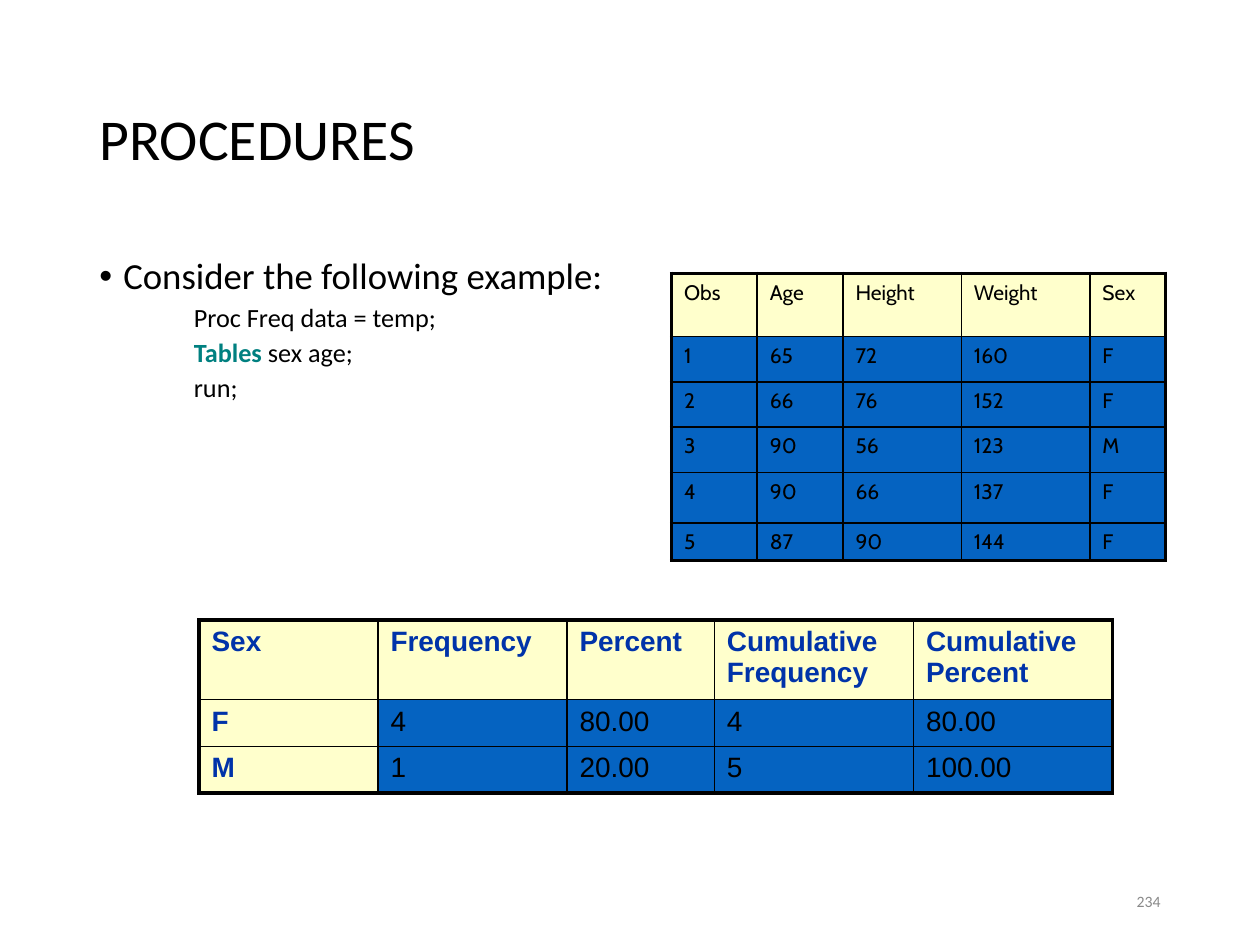
from lxml import etree
from pptx import Presentation
from pptx.dml.color import RGBColor
from pptx.enum.text import MSO_ANCHOR, PP_ALIGN
from pptx.oxml.ns import qn
from pptx.util import Inches, Pt

BLACK = RGBColor(0x00, 0x00, 0x00)
GRAY = RGBColor(0x89, 0x89, 0x89)
TEAL = RGBColor(0x00, 0x80, 0x80)
NAVY = RGBColor(0x00, 0x33, 0xA9)
CREAM = RGBColor(0xFF, 0xFF, 0xCC)
BLUE = RGBColor(0x05, 0x63, 0xC1)

TOP, MIDDLE = MSO_ANCHOR.TOP, MSO_ANCHOR.MIDDLE
LEFT, RIGHT = PP_ALIGN.LEFT, PP_ALIGN.RIGHT
OUTER_LINE, INNER_LINE = Pt(2.25), Pt(1)

OBSERVATIONS = [
    ["Obs", "Age", "Height", "Weight", "Sex"],
    ["1", "65", "72", "160", "F"],
    ["2", "66", "76", "152", "F"],
    ["3", "90", "56", "123", "M"],
    ["4", "90", "66", "137", "F"],
    ["5", "87", "90", "144", "F"],
]
FREQUENCIES = [
    ["Sex", "Frequency", "Percent", "Cumulative\nFrequency", "Cumulative\nPercent"],
    ["F", "4", "80.00", "4", "80.00"],
    ["M", "1", "20.00", "5", "100.00"],
]


def add_text(paragraph, text, font="Calibri", size=12, color=BLACK, bold=False):
    for index, line in enumerate(text.split("\n")):
        if index:
            paragraph.add_line_break()
        run = paragraph.add_run()
        run.text = line
        run.font.name = font
        run.font.size = Pt(size)
        run.font.color.rgb = color
        run.font.bold = bold


def add_text_box(slide, left, top, width, height, anchor=TOP):
    shape = slide.shapes.add_textbox(
        Inches(left), Inches(top), Inches(width), Inches(height))
    text_frame = shape.text_frame
    text_frame.word_wrap = True
    text_frame.vertical_anchor = anchor
    return text_frame


def format_paragraph(paragraph, alignment=LEFT, indent=None, hanging=0, bullet=None,
                     space_before=0, line_spacing=1.0):
    paragraph.alignment = alignment
    paragraph.line_spacing = line_spacing
    paragraph.space_before = Pt(space_before)
    properties = paragraph._p.get_or_add_pPr()
    if indent is not None:
        properties.set("marL", str(Inches(indent)))
        properties.set("indent", str(-Inches(hanging)))
    if bullet:
        etree.SubElement(properties, qn("a:buFont"), typeface="Arial")
        etree.SubElement(properties, qn("a:buChar"), char=bullet)


def set_border(cell, side, width):
    properties = cell._tc.get_or_add_tcPr()
    line = etree.SubElement(properties, qn(f"a:ln{side}"), w=str(width))
    fill = etree.SubElement(line, qn("a:solidFill"))
    etree.SubElement(fill, qn("a:srgbClr"), val=str(BLACK))


def add_table(slide, rows, left, top, column_widths, row_heights, font, size,
              label_color=BLACK, bold_labels=False, label_column=False):
    frame = slide.shapes.add_table(
        len(rows), len(column_widths), Inches(left), Inches(top),
        Inches(sum(column_widths)), Inches(sum(row_heights)))
    table = frame.table
    table.first_row = table.horz_banding = False
    for column, width in zip(table.columns, column_widths):
        column.width = Inches(width)
    last_row, last_column = len(rows) - 1, len(column_widths) - 1
    for row_index, values in enumerate(rows):
        table.rows[row_index].height = Inches(row_heights[row_index])
        for column_index, value in enumerate(values):
            cell = table.cell(row_index, column_index)
            is_label = row_index == 0 or (label_column and column_index == 0)
            add_text(cell.text_frame.paragraphs[0], value, font=font, size=size,
                     color=label_color if is_label else BLACK,
                     bold=bold_labels and is_label)
            edges = {"L": column_index == 0, "R": column_index == last_column,
                     "T": row_index == 0, "B": row_index == last_row}
            for side, is_outer in edges.items():
                set_border(cell, side, OUTER_LINE if is_outer else INNER_LINE)
            cell.fill.solid()
            cell.fill.fore_color.rgb = CREAM if is_label else BLUE


def add_title(slide):
    paragraph = add_text_box(slide, 0.69, 0.4, 8.62, 1.45, MIDDLE).paragraphs[0]
    format_paragraph(paragraph, line_spacing=0.9)
    add_text(paragraph, "PROCEDURES", size=33)


def add_example(slide):
    text_frame = add_text_box(slide, 0.69, 2, 8.62, 4.76)
    heading = text_frame.paragraphs[0]
    format_paragraph(heading, indent=0.19, hanging=0.19, bullet="•", line_spacing=0.9)
    add_text(heading, "Consider the following example:", size=21)
    for keyword, code in [("", "Proc Freq data = temp;"), ("Tables", " sex age;"),
                          ("", "run;")]:
        paragraph = text_frame.add_paragraph()
        format_paragraph(paragraph, indent=0.94, hanging=0.19, space_before=3.8,
                         line_spacing=0.9)
        if keyword:
            add_text(paragraph, keyword, size=15, color=TEAL, bold=True)
        add_text(paragraph, code, size=15)


def add_slide_number(slide):
    paragraph = add_text_box(slide, 7.06, 6.95, 2.25, 0.4, MIDDLE).paragraphs[0]
    format_paragraph(paragraph, alignment=RIGHT)
    add_text(paragraph, "234", size=9, color=GRAY)


def main():
    presentation = Presentation()
    presentation.slide_width = Inches(10)
    presentation.slide_height = Inches(7.5)
    slide = presentation.slides.add_slide(presentation.slide_layouts[6])
    add_title(slide)
    add_example(slide)
    add_slide_number(slide)
    add_table(slide, OBSERVATIONS, 5.33, 2.17, [0.68, 0.68, 0.94, 1.02, 0.6],
              [0.5, 0.36, 0.36, 0.36, 0.4, 0.3], "Cabin", 12)
    add_table(slide, FREQUENCIES, 1.58, 4.92, [1.42, 1.5, 1.17, 1.58, 1.58],
              [0.63, 0.37, 0.37], "Arial", 16,
              label_color=NAVY, bold_labels=True, label_column=True)
    presentation.save("out.pptx")


if __name__ == "__main__":
    main()
